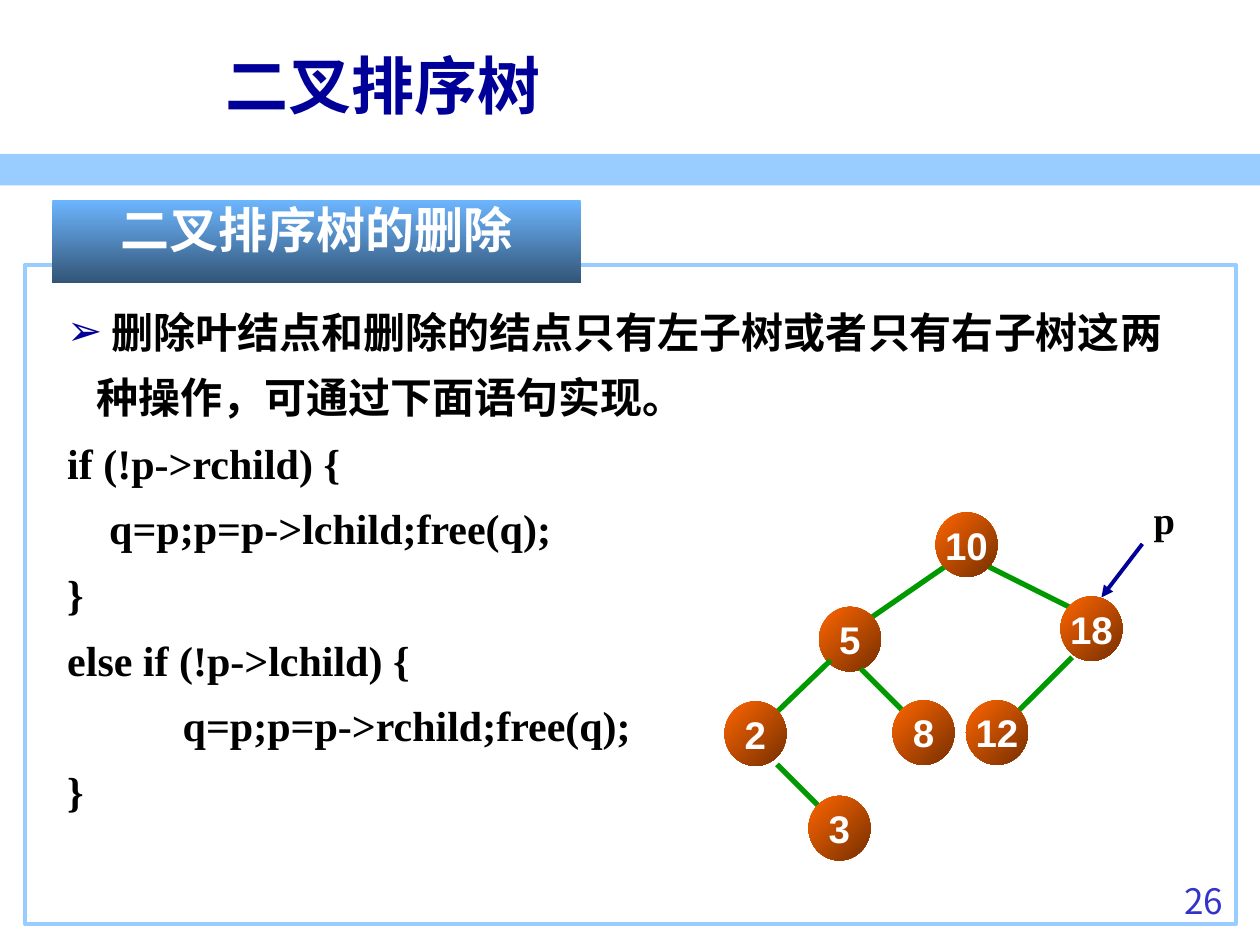
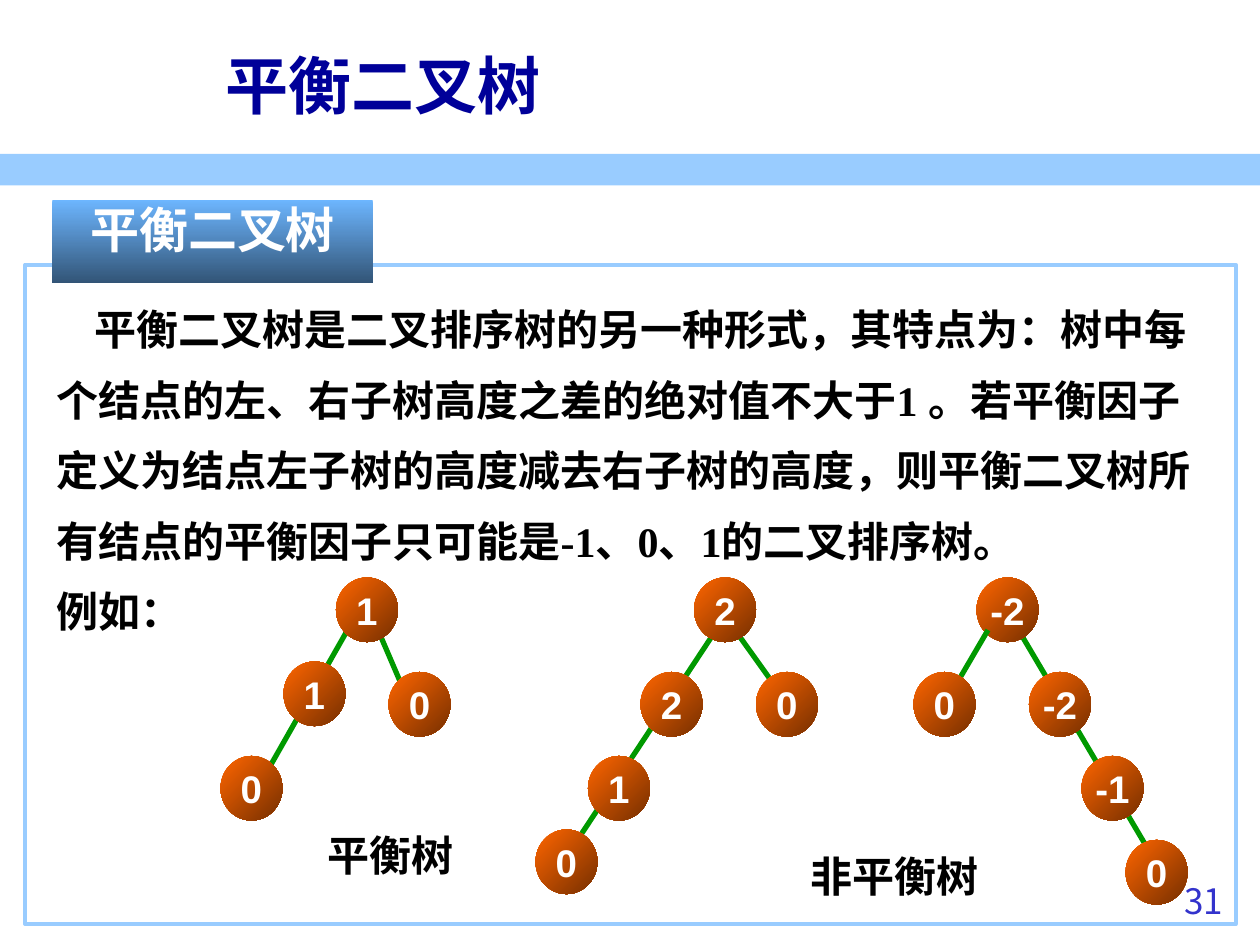
from lxml.etree import SubElement
from pptx import Presentation
from pptx.dml.color import RGBColor
from pptx.enum.shapes import MSO_CONNECTOR, MSO_SHAPE
from pptx.enum.text import MSO_ANCHOR, MSO_AUTO_SIZE, PP_ALIGN
from pptx.oxml.ns import qn
from pptx.util import Inches, Pt

SANS, SERIF, NODE_FONT = "Noto Sans CJK SC", "Times New Roman", "Arial"
BANNER_FONT = "Noto Sans CJK KR"
NAVY, SKY, GREEN = "000099", "99CCFF", "009900"
BLACK, WHITE, PAGE_BLUE = "000000", "FFFFFF", "3333CC"
BANNER_FADE = ("6DB6FF", "325476")
NODE_FADE = ("FF6600", "762F00")
COLUMNS, ROWS = 120, 90
NODE_WIDTH, NODE_HEIGHT = 5.9, 6.15


def colour(code):
    """Turn a hex string into a colour."""
    return RGBColor.from_string(code)


class Lecture:
    """Hold the deck, its grid and style, and the current page."""

    def __init__(self):
        """Start a deck of 10 by 7.5 inches."""
        self.deck = Presentation()
        self.deck.slide_width, self.deck.slide_height = Inches(10), Inches(7.5)
        self.page = None

    def place(self, left, top, width, height):
        """Convert grid columns and rows to lengths."""
        column = self.deck.slide_width / COLUMNS
        row = self.deck.slide_height / ROWS
        return (round(left * column), round(top * row),
                round(width * column), round(height * row))

    def start_page(self, title, number, banner, banner_width):
        """Add a page with title, band, frame, banner and page number."""
        self.page = self.deck.slides.add_slide(self.deck.slide_layouts[1])
        self.title(title)
        band = self.shape(MSO_SHAPE.RECTANGLE, (0, 14.65, COLUMNS, 3))
        band.fill.solid()
        band.fill.fore_color.rgb = colour(SKY)
        frame = self.shape(MSO_SHAPE.RECTANGLE, (2.4, 25.2, 115.3, 62.8))
        frame.fill.background()
        frame.line.color.rgb = colour(SKY)
        frame.line.width = Pt(2.25)
        plate = self.shape(MSO_SHAPE.RECTANGLE, (5, 19, banner_width, 8))
        self.fade(plate, BANNER_FADE, 270)
        self.set_text(plate.text_frame, banner, 28, BANNER_FONT, WHITE)
        self.label(number, (106.3, 83.8, 11.4, 6.2), 20, SANS, PAGE_BLUE,
                   align=PP_ALIGN.RIGHT, bold=False)

    def style(self, para, size, font, code, bold=True):
        """Set the font of a paragraph."""
        para.font.size, para.font.name, para.font.bold = Pt(size), font, bold
        para.font.color.rgb = colour(code)
        east_asian = BANNER_FONT if font == BANNER_FONT else SANS
        properties = para._p.pPr.find(qn("a:defRPr"))
        SubElement(properties, qn("a:ea")).set("typeface", east_asian)

    def set_text(self, frame, text, size, font, code, align=PP_ALIGN.CENTER,
                 anchor=MSO_ANCHOR.TOP, wrap=True, bold=True):
        """Put one styled paragraph in a text frame."""
        frame.word_wrap, frame.vertical_anchor = wrap, anchor
        frame.auto_size = MSO_AUTO_SIZE.NONE
        if anchor == MSO_ANCHOR.TOP:
            frame.margin_top = 0
        para = frame.paragraphs[0]
        para.text, para.alignment = text, align
        self.style(para, size, font, code, bold)

    def title(self, text):
        """Move and fill the title placeholder."""
        box = self.page.shapes.title
        box.left, box.top, box.width, box.height = self.place(20.3, 2.5, 98.3, 11)
        self.set_text(box.text_frame, text, 36, SANS, NAVY,
                      PP_ALIGN.LEFT, MSO_ANCHOR.MIDDLE)

    def body(self, lines, area, pitch):
        """Fill the body placeholder from (text, margin, first indent, bullet)."""
        box = self.page.placeholders[1]
        box.left, box.top, box.width, box.height = self.place(*area)
        frame = box.text_frame
        frame.auto_size, frame.word_wrap = MSO_AUTO_SIZE.NONE, True
        for index, (text, margin, first, bullet) in enumerate(lines):
            para = frame.add_paragraph() if index else frame.paragraphs[0]
            para.text = text
            para.alignment = PP_ALIGN.LEFT
            para.line_spacing, para.space_before = Pt(pitch), Pt(0)
            self.style(para, 24, SERIF, BLACK)
            self.indent(para, margin, first, bullet)

    def indent(self, para, margin, first, bullet):
        """Set margins in columns, and an optional bullet."""
        properties = para._p.pPr
        for name, columns in (("marL", margin), ("indent", first)):
            properties.set(name, str(self.place(columns, 0, 0, 0)[0]))
        font = properties.find(qn("a:defRPr"))
        if bullet:
            tint = SubElement(properties, qn("a:buClr"))
            SubElement(tint, qn("a:srgbClr")).set("val", NAVY)
            font.addprevious(tint)
            mark = SubElement(properties, qn("a:buChar"))
            mark.set("char", bullet)
        else:
            mark = SubElement(properties, qn("a:buNone"))
        font.addprevious(mark)

    def shape(self, kind, area, shapes=None):
        """Add a plain preset shape without line or shadow."""
        shapes = shapes or self.page.shapes
        box = shapes.add_shape(kind, *self.place(*area))
        box.shadow.inherit = False
        box.line.fill.background()
        return box

    def fade(self, box, codes, angle):
        """Fill a shape with a two-colour gradient."""
        box.fill.gradient()
        box.fill.gradient_angle = angle
        for stop, code in zip(box.fill.gradient_stops, codes):
            stop.color.rgb = colour(code)

    def label(self, text, area, size, font, code, **options):
        """Add a text box with one paragraph."""
        box = self.page.shapes.add_textbox(*self.place(*area))
        self.set_text(box.text_frame, text, size, font, code, **options)

    def line(self, ends, code, width, shapes, arrow=False):
        """Draw a straight line, with an arrowhead if wanted."""
        edge = shapes.add_connector(MSO_CONNECTOR.STRAIGHT, *self.place(*ends))
        edge.line.color.rgb = colour(code)
        edge.line.width = Pt(width)
        properties = edge._element.spPr
        if arrow:
            outline = properties.find(qn("a:ln"))
            SubElement(outline, qn("a:tailEnd")).set("type", "triangle")
        SubElement(properties, qn("a:effectLst"))

    def tree(self, nodes):
        """Group the nodes of a tree, each after the edge it may bring."""
        shapes = self.page.shapes.add_group_shape().shapes
        for key, left, top, edge in nodes:
            if edge:
                self.line(edge, GREEN, 3, shapes)
            area = (left, top, NODE_WIDTH, NODE_HEIGHT)
            node = self.shape(MSO_SHAPE.OVAL, area, shapes)
            self.fade(node, NODE_FADE, 315)
            self.set_text(node.text_frame, key, 22, NODE_FONT, WHITE,
                          anchor=MSO_ANCHOR.MIDDLE, wrap=False)


def deletion_page(lecture):
    """Build the page on deleting from a binary search tree."""
    lecture.start_page("二叉排序树", "26", "二叉排序树的删除", 50.3)
    lecture.body([
        (" 删除叶结点和删除的结点只有左子树或者只有右子树这两种操作，可通过下面语句实现。",
         2.8, -2.8, "➢"),
        ("if (!p->rchild) {", 0, 0, None),
        ("q=p;p=p->lchild;free(q);", 4, 0, None),
        ("}", 0, 0, None),
        ("else if (!p->lchild) {", 0, 0, None),
        ("q=p;p=p->rchild;free(q);", 11, 0, None),
        ("}", 0, 0, None),
    ], (5.2, 27.1, 108, 53.9), 37.5)
    lecture.tree([
        ("10", 89.1, 48.8, None),
        ("18", 101, 56.8, (94, 53.9, 102, 57.9)),
        ("5", 78, 57.8, (90.1, 53.9, 83, 58.8)),
        ("8", 85, 66.7, (82, 63.7, 86, 67.7)),
        ("12", 92, 66.7, (102.1, 62.6, 97, 67.7)),
        ("2", 69, 66.8, (79.1, 62.9, 74, 67.8)),
        ("3", 77, 75.8, (74, 72.8, 78, 76.8)),
    ])
    lecture.line((108.8, 51.8, 104.9, 56.9), NAVY, 2.25,
                 lecture.page.shapes, arrow=True)
    lecture.label("p", (107.9, 46.9, 6, 5), 22, SERIF, BLACK,
                  anchor=MSO_ANCHOR.MIDDLE, wrap=False)


def balance_page(lecture):
    """Build the page on balanced binary trees."""
    lecture.start_page("平衡二叉树", "31", "平衡二叉树", 30.5)
    lecture.body([
        ("平衡二叉树是二叉排序树的另一种形式，其特点为：树中每个结点的左、右子树高度之差的"
         "绝对值不大于1 。若平衡因子定义为结点左子树的高度减去右子树的高度，则平衡二叉树"
         "所有结点的平衡因子只可能是-1、0、1的二叉排序树。", 0, 3.6, None),
        ("例如：", 0, 0, None),
    ], (4.2, 26.4, 112.8, 35.9), 40.3)
    lecture.tree([
        ("0", 72, 64, (70, 60, 75, 67)),
        ("2", 66.1, 55, (68.2, 60, 55, 80)),
        ("2", 61, 64, None),
        ("1", 56, 72, None),
        ("0", 51, 79, None),
    ])
    for caption, left, top in (("平衡树", 24, 79), ("非平衡树", 72, 81)):
        lecture.label(caption, (left, top, 26.3, 6), 24, NODE_FONT, BLACK)
    lecture.tree([
        ("-2", 93, 55, (97, 60, 110, 82)),
        ("-2", 98, 64, None),
        ("0", 87, 64, (94.1, 60, 90, 67)),
        ("-1", 103, 72, None),
        ("0", 107.2, 80, None),
    ])
    lecture.tree([
        ("0", 37, 64, (36, 60, 39, 67)),
        ("1", 27, 63, (33.1, 60, 24, 76)),
        ("0", 21, 72, None),
        ("1", 32, 55, None),
    ])


def main():
    """Build both pages and save the deck."""
    lecture = Lecture()
    deletion_page(lecture)
    balance_page(lecture)
    lecture.deck.save("out.pptx")


if __name__ == "__main__":
    main()
